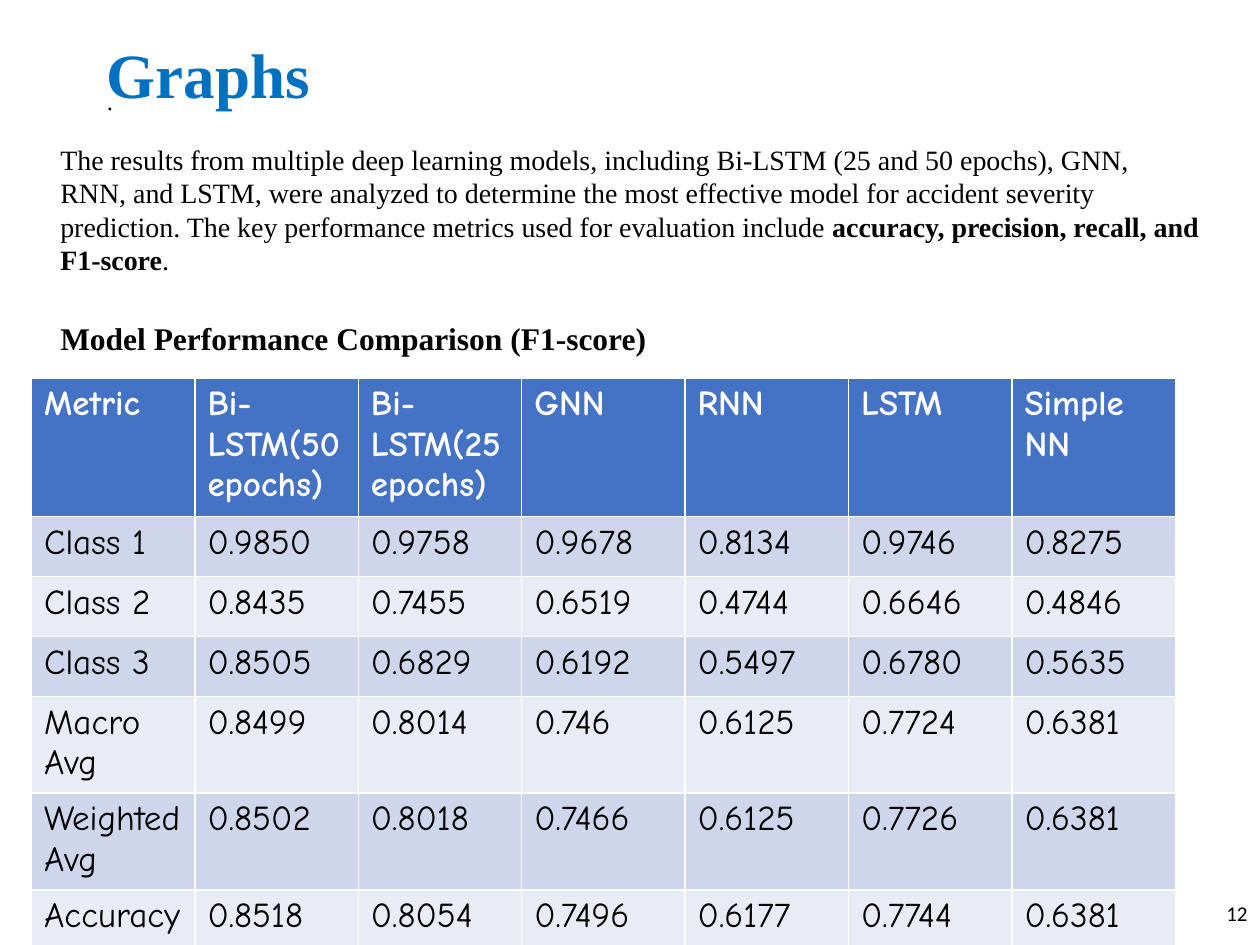
"""Build the slide comparing model performance by F1-score."""
import pptx
import pptx.dml.color
import pptx.enum.text
import pptx.util

Inches = pptx.util.Inches
Pt = pptx.util.Pt
ALIGN = pptx.enum.text.PP_ALIGN
ANCHOR = pptx.enum.text.MSO_ANCHOR

ROWS = [
    ["Metric", "Bi-LSTM(50 epochs)", "Bi-LSTM(25 epochs)", "GNN", "RNN", "LSTM", "Simple NN"],
    ["Class 1", "0.9850", "0.9758", "0.9678", "0.8134", "0.9746", "0.8275"],
    ["Class 2", "0.8435", "0.7455", "0.6519", "0.4744", "0.6646", "0.4846"],
    ["Class 3", "0.8505", "0.6829", "0.6192", "0.5497", "0.6780", "0.5635"],
    ["Macro Avg", "0.8499", "0.8014", "0.746", "0.6125", "0.7724", "0.6381"],
    ["Weighted Avg", "0.8502", "0.8018", "0.7466", "0.6125", "0.7726", "0.6381"],
    ["Accuracy", "0.8518", "0.8054", "0.7496", "0.6177", "0.7744", "0.6381"],
]
INTRO = (
    "The results from multiple deep learning models, including Bi-LSTM (25 and 50 epochs), "
    "GNN, RNN, and LSTM, were analyzed to determine the most effective model for accident "
    "severity prediction. The key performance metrics used for evaluation include "
)


def tint(code):
    return pptx.dml.color.RGBColor.from_string(code)


class Deck:
    serif = "Times New Roman"
    sans = "Calibri"
    hand = "Comic Neue"
    black = "000000"
    white = "FFFFFF"
    blue = "0070C0"
    head = "4472C4"
    bands = ["E9EBF5", "CFD5EA"]

    def __init__(self, show):
        self.slide = show.slides.add_slide(show.slide_layouts[6])

    def phrase(self, para, words, color=black, **looks):
        run = para.add_run()
        run.text = words
        for key, value in looks.items():
            setattr(run.font, key, value)
        run.font.color.rgb = tint(color)

    def text(self, place, paras, anchor=ANCHOR.TOP, **form):
        frame = self.slide.shapes.add_textbox(*map(Inches, place)).text_frame
        frame.word_wrap = True
        frame.vertical_anchor = anchor
        for i, runs in enumerate(paras):
            para = frame.add_paragraph() if i else frame.paragraphs[0]
            for key, value in form.items():
                if i or key != "space_before":
                    setattr(para, key, value)
            for words, looks in runs:
                self.phrase(para, words, **looks)

    def table(self, place, rows):
        grid = self.slide.shapes.add_table(len(rows), len(rows[0]), *map(Inches, place)).table
        for r, row in enumerate(rows):
            for c, words in enumerate(row):
                cell = grid.cell(r, c)
                cell.fill.solid()
                cell.fill.fore_color.rgb = tint(self.bands[r % 2] if r else self.head)
                self.phrase(cell.text_frame.paragraphs[0], words,
                            self.black if r else self.white,
                            name=self.hand, size=Pt(20), bold=r == 0)


def main():
    show = pptx.Presentation()
    show.slide_width, show.slide_height = Inches(10), Inches(7.5)
    deck = Deck(show)
    plain = {"name": deck.serif, "size": Pt(16)}
    bold = {**plain, "bold": True}
    title = {**bold, "size": Pt(36), "color": deck.blue}
    deck.text((0.75, 0.3, 9, 1.25), [[("Graphs", title)]], line_spacing=0.9)
    deck.text((7.67, 7.1, 2.33, 0.4), [[("12", {"name": deck.sans, "size": Pt(12)})]],
              alignment=ALIGN.RIGHT)
    deck.text((0.75, 0.63, 8.33, 0.34), [[(".", {**plain, "size": Pt(14)})]], ANCHOR.MIDDLE)
    deck.text((0.38, 1.08, 9.25, 3.67), [
        [(INTRO, plain), ("accuracy, precision, recall, and F1-score", bold), (".", plain)],
        [("Model Performance Comparison (F1-score)", {**bold, "size": Pt(18)})],
    ], space_before=Pt(12), space_after=Pt(12))
    deck.table((0.25, 3, 9.08, 3.33), ROWS)
    show.save("out.pptx")


if __name__ == "__main__":
    main()
